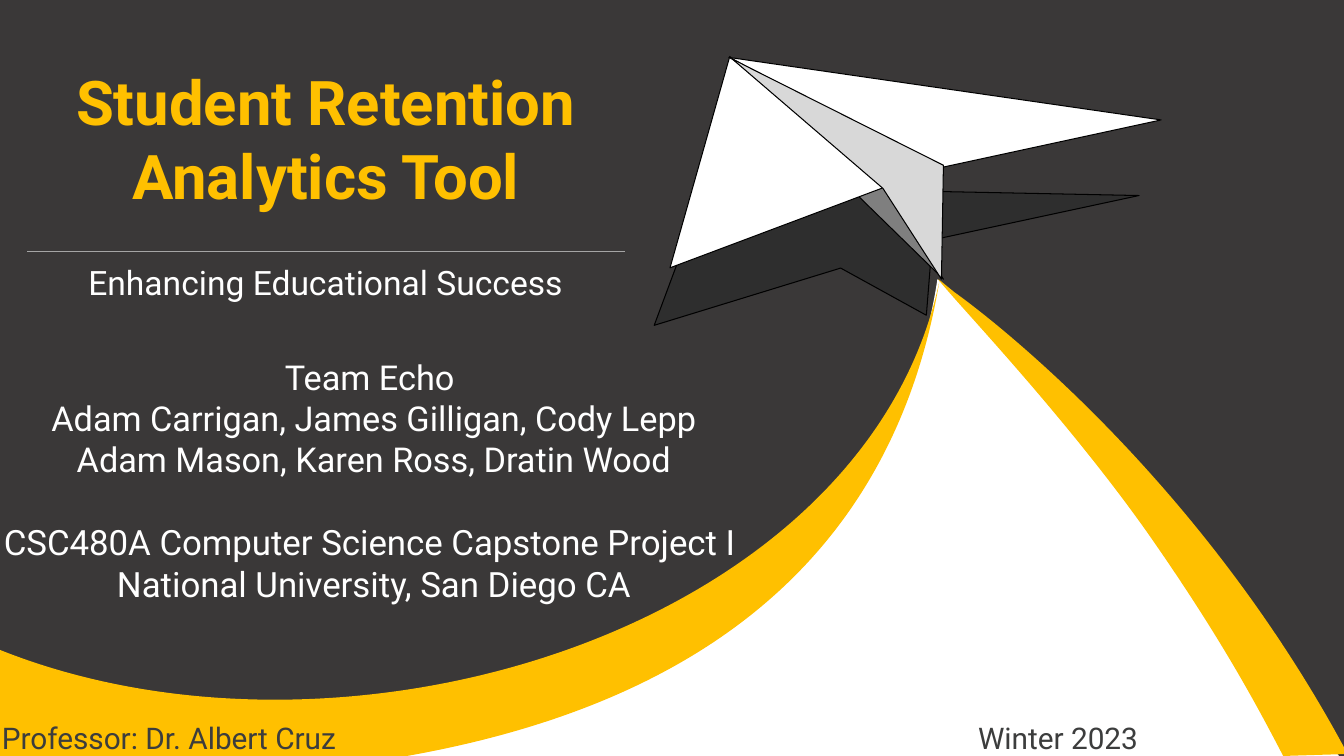
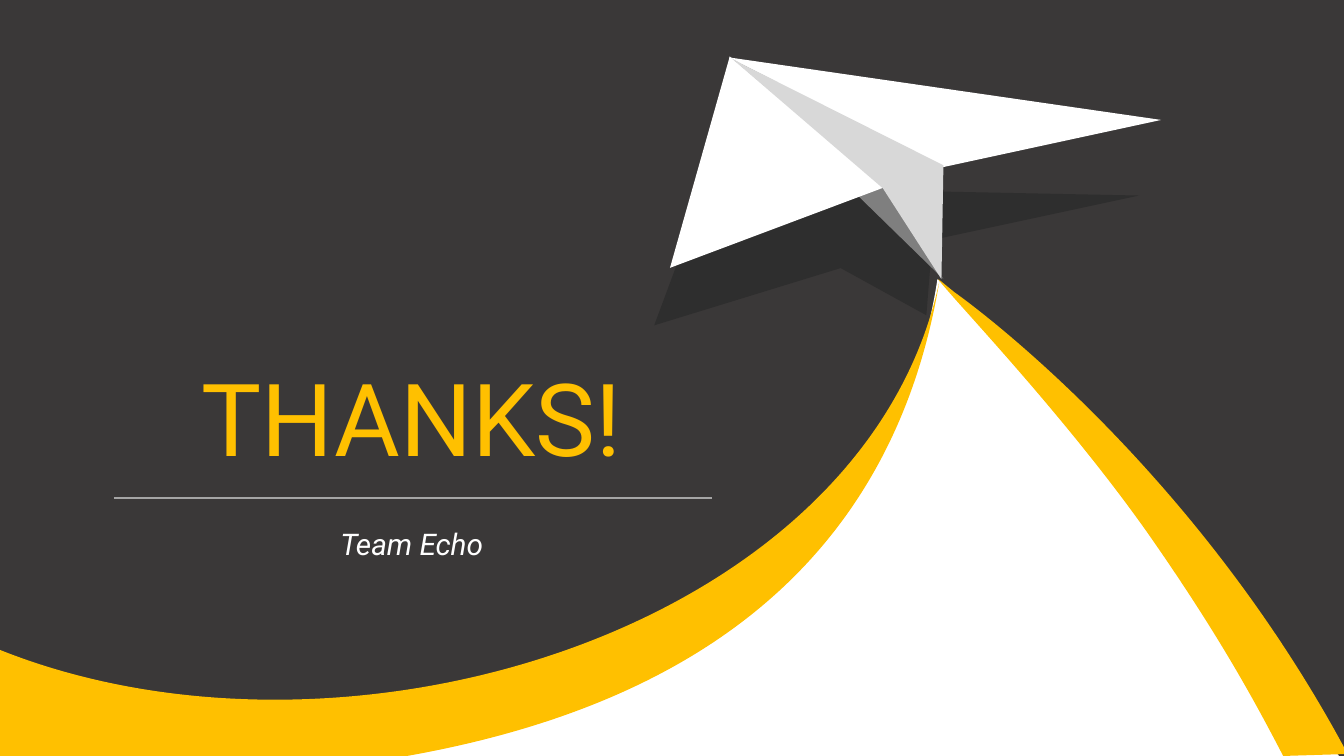
from dataclasses import dataclass
from typing import Optional

from lxml import etree
from pptx import Presentation
from pptx import slide as sl
from pptx import util as u
from pptx.dml import color as dml
from pptx.enum import shapes, text
from pptx.oxml import ns

COLOURS = {
    "charcoal": "3A3838",
    "white": "FFFFFF",
    "amber": "FFC000",
    "shadow": "2E2E2E",
    "fold": "7F7F7F",
    "body": "D8D8D8",
    "rule": "A5A5A5",
    "footer": "3C3D3D",
    "black": "000000",
}
FONT = "Roboto"
RULE_WIDTH = 427
WIDE_INSETS = (9.6, 4.8)
Point = tuple[float, float]
Segment = tuple[Point, ...]


@dataclass(frozen=True)
class Outline:
    colour: str
    start: Point
    segments: tuple[Segment, ...]


@dataclass(frozen=True)
class Line:
    words: str
    size: float
    space_before: float = 0


def polygon(colour: str, *corners: Point) -> Outline:
    return Outline(colour, corners[0], tuple((corner,) for corner in corners[1:]))


HILL = Outline("white", (672.5, 202.3), (
    ((669.6, 199.4),),
    ((669.6, 199.4), (645.8, 388.8), (510.5, 445.7)),
    ((374.4, 503.3), (93.6, 528.5), (-0.7, 465.8)),
    ((-0.7, 540.7),),
    ((956.9, 540.7),),
    ((956.9, 540.7), (827.3, 355), (778.3, 307.4)),
    ((763.2, 293.8), (748.8, 276.5), (733, 261.4)),
    ((700.6, 229), (672.5, 202.3), (672.5, 202.3)),
))
PLANE = (
    polygon("shadow", (647.3, 123.8), (486, 182.2), (467.3, 232.4), (600.5, 191.5),
            (661.7, 225.2), (666, 171.4), (813.6, 139.7), (669.6, 136.8)),
    polygon("fold", (630.7, 133.9), (612.7, 139.7), (673.9, 199.4)),
    polygon("white", (631.4, 133.9), (521.3, 40.3), (478.6, 191.3)),
    polygon("white", (673.2, 119.5), (520.6, 41), (829.4, 85.7)),
    polygon("body", (673.9, 118.1), (533.5, 47.5), (522.7, 41.8), (630.7, 134.6),
            (672.5, 199.4)),
)
BANDS = (
    Outline("amber", (681.8, 208.8), (
        ((681.8, 208.8), (848.9, 325.4), (962.6, 538.6)),
        ((916.6, 540),),
        ((895.7, 499.7), (869.8, 452.2), (819.4, 380.2)),
        ((756.7, 291.6), (674.6, 207.4), (670.3, 199.4)),
    )),
    Outline("amber", (-2.9, 467.3), (
        ((-2.2, 465.8), (-1.4, 465.1), (-1.4, 463.7)),
        ((247, 563.8), (618.5, 449.3), (671, 200.9)),
        ((613.4, 545.8), (241.9, 563.8), (-2.9, 555.1)),
    )),
)


def rgb(name: str) -> dml.RGBColor:
    return dml.RGBColor.from_string(COLOURS[name])


def bend_segments(shape, outline: Outline) -> None:
    anchors = [outline.start, *(segment[-1] for segment in outline.segments)]
    left = min(x for x, _ in anchors)
    top = min(y for _, y in anchors)
    straight = shape._element.findall(".//" + ns.qn("a:lnTo"))
    for segment, line in zip(outline.segments, straight):
        if len(segment) == 1:
            continue
        curve = etree.Element(ns.qn("a:cubicBezTo"))
        for x, y in segment:
            etree.SubElement(curve, ns.qn("a:pt"),
                             x=str(u.Pt(x - left)), y=str(u.Pt(y - top)))
        line.getparent().replace(line, curve)


def draw_outline(parent, outline: Outline, edge: Optional[str] = None) -> None:
    builder = parent.build_freeform(*(u.Pt(length) for length in outline.start))
    ends = [tuple(u.Pt(length) for length in segment[-1]) for segment in outline.segments]
    builder.add_line_segments(ends, close=True)
    shape = builder.convert_to_shape()
    bend_segments(shape, outline)
    shape.shadow.inherit = False
    shape.fill.solid()
    shape.fill.fore_color.rgb = rgb(outline.colour)
    if edge:
        shape.line.color.rgb = rgb(edge)
        shape.line.width = u.Pt(0.75)
    else:
        shape.line.fill.background()


def draw_rule(page: sl.Slide, left: float, top: float) -> None:
    line = page.shapes.add_connector(
        shapes.MSO_CONNECTOR.STRAIGHT,
        u.Pt(left), u.Pt(top), u.Pt(left + RULE_WIDTH), u.Pt(top),
    )
    line.line.color.rgb = rgb("rule")
    line.line.width = u.Pt(1)
    etree.SubElement(line._element.spPr, ns.qn("a:effectLst"))


def add_text(
    page: sl.Slide,
    *lines: Line,
    at: tuple[float, float, float, float],
    colour: str = "white",
    bold: bool = False,
    italic: bool = False,
    align: text.PP_ALIGN = text.PP_ALIGN.CENTER,
    insets: tuple[float, float] = WIDE_INSETS,
    spacing: Optional[float] = None,
    tab: Optional[float] = None,
) -> None:
    box = page.shapes.add_textbox(*(u.Pt(length) for length in at))
    frame = box.text_frame
    frame.word_wrap = True
    frame.margin_left = frame.margin_right = u.Pt(insets[0])
    frame.margin_top = frame.margin_bottom = u.Pt(insets[1])
    for index, line in enumerate(lines):
        para = frame.add_paragraph() if index else frame.paragraphs[0]
        para.alignment = align
        if spacing:
            para.line_spacing = spacing
        if line.space_before:
            para.space_before = u.Pt(line.space_before)
        if tab:
            stops = etree.SubElement(para._p.get_or_add_pPr(), ns.qn("a:tabLst"))
            etree.SubElement(stops, ns.qn("a:tab"), pos=str(u.Pt(tab)), algn="l")
        span = para.add_run()
        span.text = line.words
        span.font.name = FONT
        span.font.size = u.Pt(line.size)
        span.font.bold = bold
        span.font.italic = italic
        span.font.color.rgb = rgb(colour)


def add_page(deck, plane_edge: Optional[str] = None) -> sl.Slide:
    page = deck.slides.add_slide(deck.slide_layouts[6])
    page.background.fill.solid()
    page.background.fill.fore_color.rgb = rgb("charcoal")
    draw_outline(page.shapes, HILL)
    plane = page.shapes.add_group_shape()
    for part in PLANE:
        draw_outline(plane.shapes, part, plane_edge)
    for band in BANDS:
        draw_outline(page.shapes, band)
    return page


def build_cover(deck) -> None:
    page = add_page(deck, plane_edge="black")
    add_text(page, Line("Enhancing Educational Success", 24), at=(47.5, 182.2, 370, 27.4))
    draw_rule(page, 19.4, 179.7)
    add_text(page, Line("Professor: Dr. Albert Cruz\tWinter 2023", 21.3),
             at=(1.4, 504, 958.3, 36), colour="footer", align=text.PP_ALIGN.LEFT,
             insets=(0, 0), spacing=1.4, tab=697.3)
    add_text(page, Line("Student Retention Analytics Tool", 44),
             at=(8.6, 41, 448.6, 139), colour="amber", bold=True)
    add_text(
        page,
        Line("Team Echo ", 24.5),
        Line("Adam Carrigan, James Gilligan, Cody Lepp", 24.5),
        Line("Adam Mason, Karen Ross, Dratin Wood", 24.5),
        Line("CSC480A Computer Science Capstone Project I ", 24.9, space_before=29.6),
        Line("National University, San Diego CA", 24.9),
        at=(-40.3, 250.6, 614.9, 216.7), insets=(7.2, 3.6),
    )


def build_closing(deck) -> None:
    page = add_page(deck)
    add_text(page, Line("THANKS!", 72), at=(127.4, 249.1, 333.4, 106.6), colour="amber")
    add_text(page, Line("Team Echo", 21.3), at=(141.8, 370.8, 304.6, 35.3), italic=True)
    draw_rule(page, 81.4, 355.7)


def main() -> None:
    deck = Presentation()
    deck.slide_width = u.Pt(960)
    deck.slide_height = u.Pt(540)
    build_cover(deck)
    build_closing(deck)
    deck.save("out.pptx")


if __name__ == "__main__":
    main()
